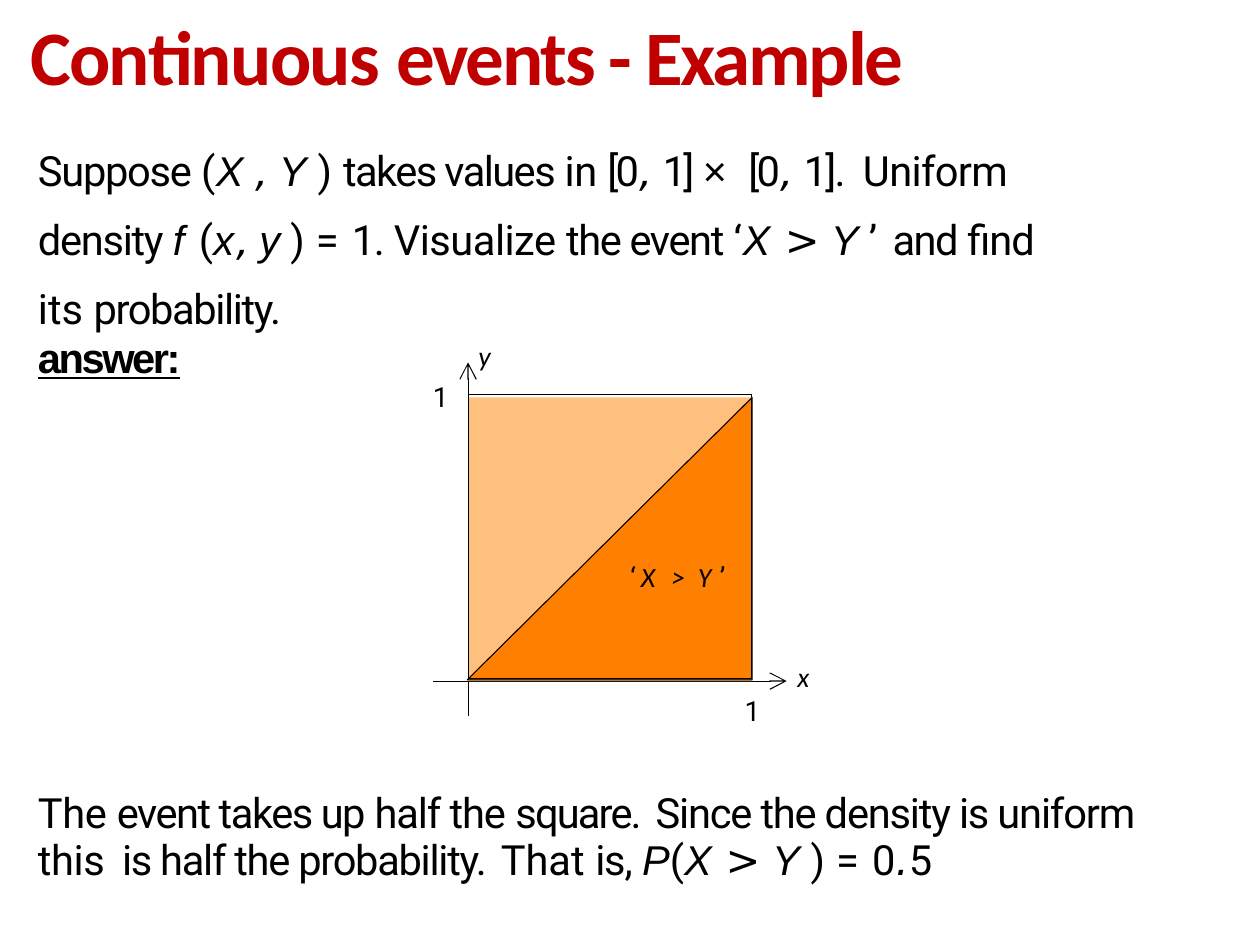
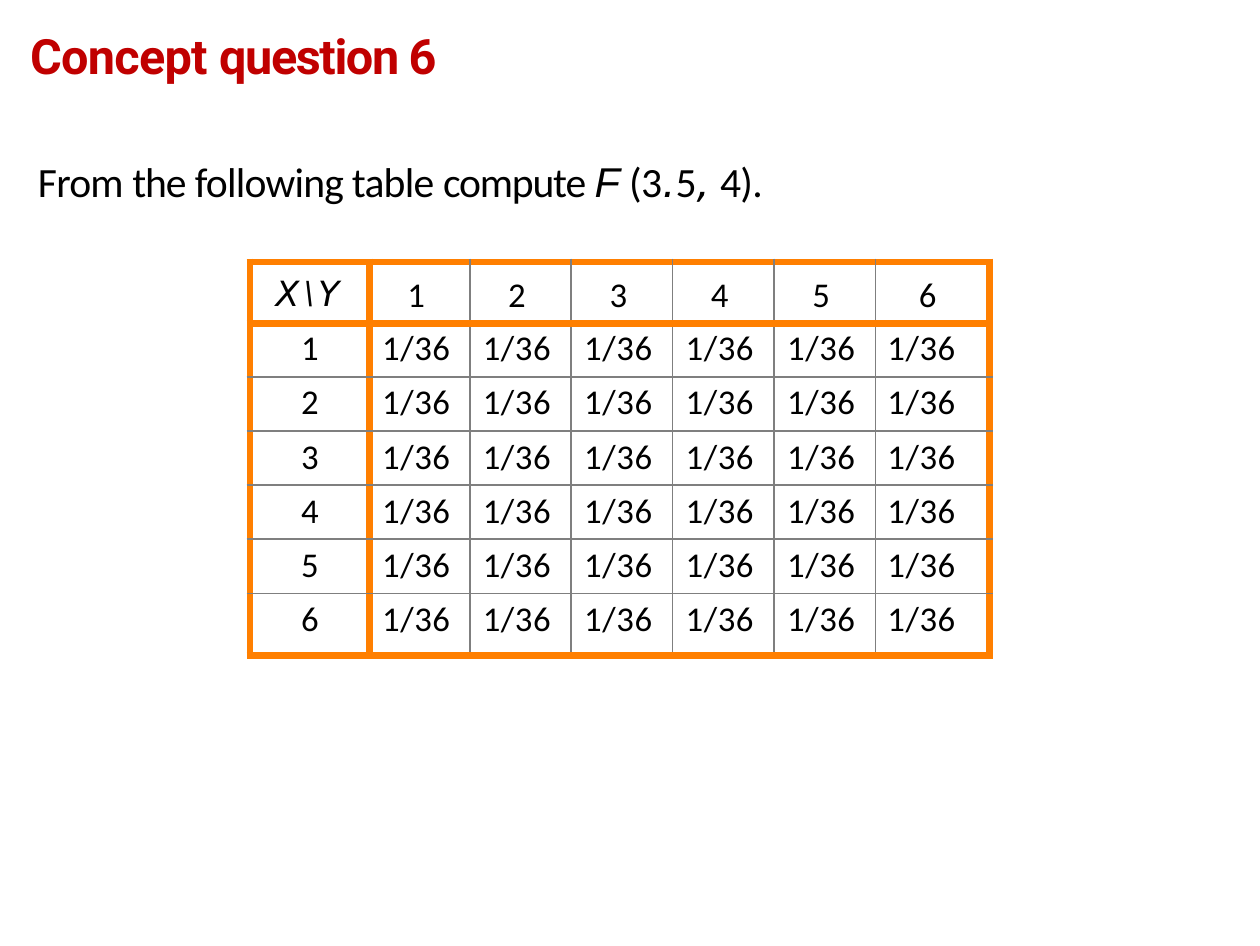
from dataclasses import dataclass
from typing import NamedTuple, Optional

from lxml import etree
from pptx import Presentation
from pptx.dml.color import RGBColor
from pptx.enum.shapes import MSO_CONNECTOR, MSO_SHAPE
from pptx.enum.text import MSO_ANCHOR, MSO_AUTO_SIZE, PP_ALIGN
from pptx.oxml.ns import qn
from pptx.util import Inches, Pt

RED = RGBColor(0xC0, 0x00, 0x00)
BLACK = RGBColor(0x00, 0x00, 0x00)
ORANGE = RGBColor(0xFF, 0x7F, 0x00)
PEACH = RGBColor(0xFF, 0xBF, 0x7F)
GREY = RGBColor(0x7F, 0x7F, 0x7F)

TOP, MIDDLE = MSO_ANCHOR.TOP, MSO_ANCHOR.MIDDLE
LEFT, CENTER = PP_ALIGN.LEFT, PP_ALIGN.CENTER
NO_FIT = MSO_AUTO_SIZE.NONE
RECT, STRAIGHT = MSO_SHAPE.RECTANGLE, MSO_CONNECTOR.STRAIGHT

SLIDE_WIDTH, SLIDE_HEIGHT = Pt(363), Pt(272.5)
CELL = Inches(0.01)


class Box(NamedTuple):
    col: float
    row: float
    cols: float
    rows: float

    def emu(self) -> list[int]:
        return [int(v * CELL) for v in self]


class Style(NamedTuple):
    font: str
    italic: bool = False
    bold: bool = False
    underline: bool = False


class Run(NamedTuple):
    text: str
    spacing: float
    style: Optional[Style] = None


@dataclass
class Para:
    runs: list[Run]
    style: Style
    size: float = 12
    color: RGBColor = BLACK
    line_spacing: Optional[float] = None
    align: int = LEFT


@dataclass
class Label:
    text: str
    box: Box
    style: Style
    spacing: float


ROBOTO = Style("Roboto")
CALIBRI = Style("Calibri")
MATH = Style("Arial", italic=True)
SIGN = Style("DejaVu Sans", italic=True)
AXIS = Style("Calibri", italic=True)
ANSWER = Style("Arial", bold=True, underline=True)

TITLE_BOX = Box(12, 1.5, 458, 39)

PROBLEM = [
    Run("Suppose ", -0.38), Run("(", 0.1), Run("X ", 0, MATH), Run(", ", -0.8, SIGN),
    Run("Y ", 0, MATH), Run(") ", 0.1), Run("takes values ", -0.46),
    Run("in ", -0.1), Run("[0", -0.8), Run(", ", -0.8, SIGN), Run("1] ", -0.8),
    Run("× ", 1.5, MATH), Run("[0", -0.8), Run(", ", -0.8, SIGN), Run("1].", -0.5),
    Run(" ", 2), Run("Uniform ", -0.2), Run("density ", -0.38), Run("f ", 0.4, MATH),
    Run("(", 0.1), Run("x", 0.5, MATH), Run(", ", -0.9, SIGN), Run("y ", -0.4, MATH),
    Run(") ", 0.1), Run("= ", 0.4), Run("1. ", -0.4), Run("Visualize ", -0.15),
    Run("the event ", -0.4), Run("‘", 0.2), Run("X ", 0.4, MATH), Run("> ", -0.6, SIGN),
    Run("Y ", -0.1, MATH), Run("’ ", 0.7), Run("and ", -0.45), Run("ﬁnd ", -0.3),
    Run("its ", 0), Run("probability.", -0.4),
]
CONCLUSION = [
    Run("The ", -0.1), Run("event takes up ", -0.43), Run("half the ", -0.3),
    Run("square.", -0.55), Run(" ", 1), Run("Since the density is uniform ", -0.33),
    Run("this", -0.1), Run(" ", 2), Run("is half the probability.", -0.38),
    Run(" ", 1), Run("That ", 0), Run("is, ", -0.3), Run("P", 0, MATH), Run("(", 0),
    Run("X ", 0.3, MATH), Run("> ", -0.5, SIGN), Run("Y ", 0, MATH), Run(") ", 0.1),
    Run("= ", 0.4), Run("0", -0.6), Run(".", -0.6, SIGN), Run("5", -0.6),
]
QUESTION = [
    Run("From ", -0.24), Run("the ", -0.34), Run("following ", -0.24), Run("table ", -0.24),
    Run("compute ", -0.34), Run("F ", -0.5, MATH), Run("(3", -0.2), Run(".", -0.9, SIGN),
    Run("5", -0.5), Run(", ", -0.9, SIGN), Run("4).", -0.2),
]
EVENT = [
    Run("‘", 1.4, ROBOTO), Run("X ", 1.4), Run("> ", 0.9), Run("Y ", 0.3),
    Run("’", 0.5, ROBOTO),
]
CORNER = [Run("X", 1.3), Run("\\", 1.3, MATH), Run("Y", 1.3)]

SQUARE = Box(187.3, 159, 113.5, 113.5)
OVERHANG = 14
LABELS = [
    Label("x", Box(319, 263, 9, 16), AXIS, 1.1),
    Label("y", Box(191.4, 134.4, 8, 16), AXIS, 0.3),
    Label("1", Box(298, 276.4, 8, 16), ROBOTO, -0.4),
    Label("1", Box(173.2, 151, 8, 16), ROBOTO, -0.4),
]

TABLE_COLS = [48, 40] + [40.6] * 4 + [45.6]
TABLE_ROWS = [24.5] + [21.65] * 5 + [25]
TABLE_BOX = Box(100, 104.8, sum(TABLE_COLS), sum(TABLE_ROWS))
FACES = len(TABLE_COLS) - 1


def write(tf, paras: list[Para]) -> None:
    for i, para in enumerate(paras):
        p = tf.paragraphs[0] if i == 0 else tf.add_paragraph()
        p.alignment = para.align
        p.space_before = Pt(0)
        if para.line_spacing:
            p.line_spacing = para.line_spacing
        pPr = p._p.get_or_add_pPr()
        pPr.set("marL", "0")
        pPr.set("indent", "0")
        etree.SubElement(pPr, qn("a:buNone"))
        for run in para.runs:
            r = p.add_run()
            r.text = run.text
            style = run.style or para.style
            r.font.name = style.font
            r.font.size = Pt(para.size)
            r.font.bold = style.bold
            r.font.italic = style.italic
            r.font.underline = style.underline
            r.font.color.rgb = para.color
            r._r.get_or_add_rPr().set("spc", str(round(run.spacing * 100)))


def fill_box(sp, box: Box, paras: list[Para], inset: float = 1,
             anchor: int = TOP, wrap: bool = True) -> None:
    sp.left, sp.top, sp.width, sp.height = box.emu()
    tf = sp.text_frame
    tf.auto_size = NO_FIT
    tf.word_wrap = wrap
    tf.vertical_anchor = anchor
    tf.margin_left = tf.margin_right = tf.margin_bottom = 0
    tf.margin_top = int(inset * CELL)
    write(tf, paras)


def add_text(slide, box: Box, paras: list[Para], inset: float = 1, wrap: bool = True) -> None:
    fill_box(slide.shapes.add_textbox(*box.emu()), box, paras, inset, wrap=wrap)


def new_slide(prs, title: Para, body_box: Box, body: list[Para]):
    slide = prs.slides.add_slide(prs.slide_layouts[1])
    fill_box(slide.shapes.title, TITLE_BOX, [title], 2, MIDDLE)
    fill_box(slide.placeholders[1], body_box, body)
    return slide


def add_arrow(slide, x1: float, y1: float, x2: float, y2: float) -> None:
    line = slide.shapes.add_connector(STRAIGHT, *[int(v * CELL) for v in (x1, y1, x2, y2)])
    line.line.color.rgb = BLACK
    line.line.width = Pt(0.32)
    etree.SubElement(line.line._get_or_add_ln(), qn("a:tailEnd"), type="arrow", w="sm", len="sm")
    etree.SubElement(line._element.spPr, qn("a:effectLst"))


def paint(sp, fill: Optional[RGBColor], outlined: bool) -> None:
    sp.shadow.inherit = False
    if fill is None:
        sp.fill.background()
    else:
        sp.fill.solid()
        sp.fill.fore_color.rgb = fill
    if outlined:
        sp.line.color.rgb = BLACK
        sp.line.width = Pt(0.32)
    else:
        sp.line.fill.background()


def add_unit_square(slide) -> None:
    left, top, width, height = SQUARE
    right, bottom = left + width, top + height
    add_arrow(slide, left - OVERHANG, bottom, right + OVERHANG, bottom)
    add_arrow(slide, left, bottom + OVERHANG, left, top - OVERHANG)

    paint(slide.shapes.add_shape(RECT, *SQUARE.emu()), PEACH, False)
    fb = slide.shapes.build_freeform(left, bottom, scale=float(CELL))
    fb.add_line_segments([(right, top), (right, bottom)], close=True)
    paint(fb.convert_to_shape(), ORANGE, True)

    outline = Box(left, top - 1, width, height)
    sp = slide.shapes.add_shape(RECT, *outline.emu())
    paint(sp, None, True)
    fill_box(sp, outline, [Para(EVENT, AXIS, 8)], 32, MIDDLE)
    sp.text_frame.margin_left = 65 * CELL

    for label in LABELS:
        text = Para([Run(label.text, label.spacing)], label.style, 8)
        add_text(slide, label.box, [text], wrap=False)


def add_border(tcPr, side: str, thick: bool) -> None:
    ln = etree.SubElement(tcPr, qn(f"a:{side}"), w=str(Pt(2.25 if thick else 0.5)))
    fill = etree.SubElement(ln, qn("a:solidFill"))
    etree.SubElement(fill, qn("a:srgbClr"), val=str(ORANGE if thick else GREY))


def cell_runs(row: int, col: int) -> list[Run]:
    if row and col:
        return [Run("1/36", 0.2)]
    return [Run(str(row or col), 0)] if row or col else CORNER


def right_margin(row: int, col: int) -> int:
    if col == FACES:
        return 9 if row else 4
    return 3 if col else 0 if row else 2


def add_probability_table(slide) -> None:
    table = slide.shapes.add_table(FACES + 1, FACES + 1, *TABLE_BOX.emu()).table
    table.first_row = table.horz_banding = False
    for column, width in zip(table.columns, TABLE_COLS):
        column.width = int(width * CELL)
    for row, height in zip(table.rows, TABLE_ROWS):
        row.height = int(height * CELL)
    thick = {0, 1, FACES + 1}
    for i in range(FACES + 1):
        for j in range(FACES + 1):
            cell = table.cell(i, j)
            tcPr = cell._tc.get_or_add_tcPr()
            for side, edge in (("lnL", j), ("lnR", j + 1), ("lnT", i), ("lnB", i + 1)):
                add_border(tcPr, side, edge in thick)
            cell.fill.background()
            cell.margin_left = cell.margin_bottom = 0
            cell.margin_right = right_margin(i, j) * CELL
            cell.margin_top = (2 if i else 5) * CELL
            style = CALIBRI if i or j else SIGN
            write(cell.text_frame, [Para(cell_runs(i, j), style, 10, align=CENTER)])


def main() -> None:
    prs = Presentation()
    prs.slide_width, prs.slide_height = SLIDE_WIDTH, SLIDE_HEIGHT

    title = Para([Run("Continuous ", -0.45), Run("events - Example", -0.65)],
                 Style("Calibri", bold=True), 22.2, RED)
    slide = new_slide(prs, title, Box(15.2, 49.4, 403, 105), [
        Para(PROBLEM, ROBOTO, line_spacing=1.38),
        Para([Run("answer:", -0.7)], ANSWER, line_spacing=Pt(14.2)),
    ])
    add_unit_square(slide)
    add_text(slide, Box(15.2, 313, 443, 42), [Para(CONCLUSION, ROBOTO, line_spacing=Pt(13.5))], 3)

    title = Para([Run("Concept ", -0.22), Run("question 6", -0.42)],
                 Style("Roboto", bold=True), 14, RED)
    slide = new_slide(prs, title, Box(15.2, 61.4, 429, 22), [Para(QUESTION, CALIBRI)])
    add_probability_table(slide)

    prs.save("out.pptx")


if __name__ == "__main__":
    main()
